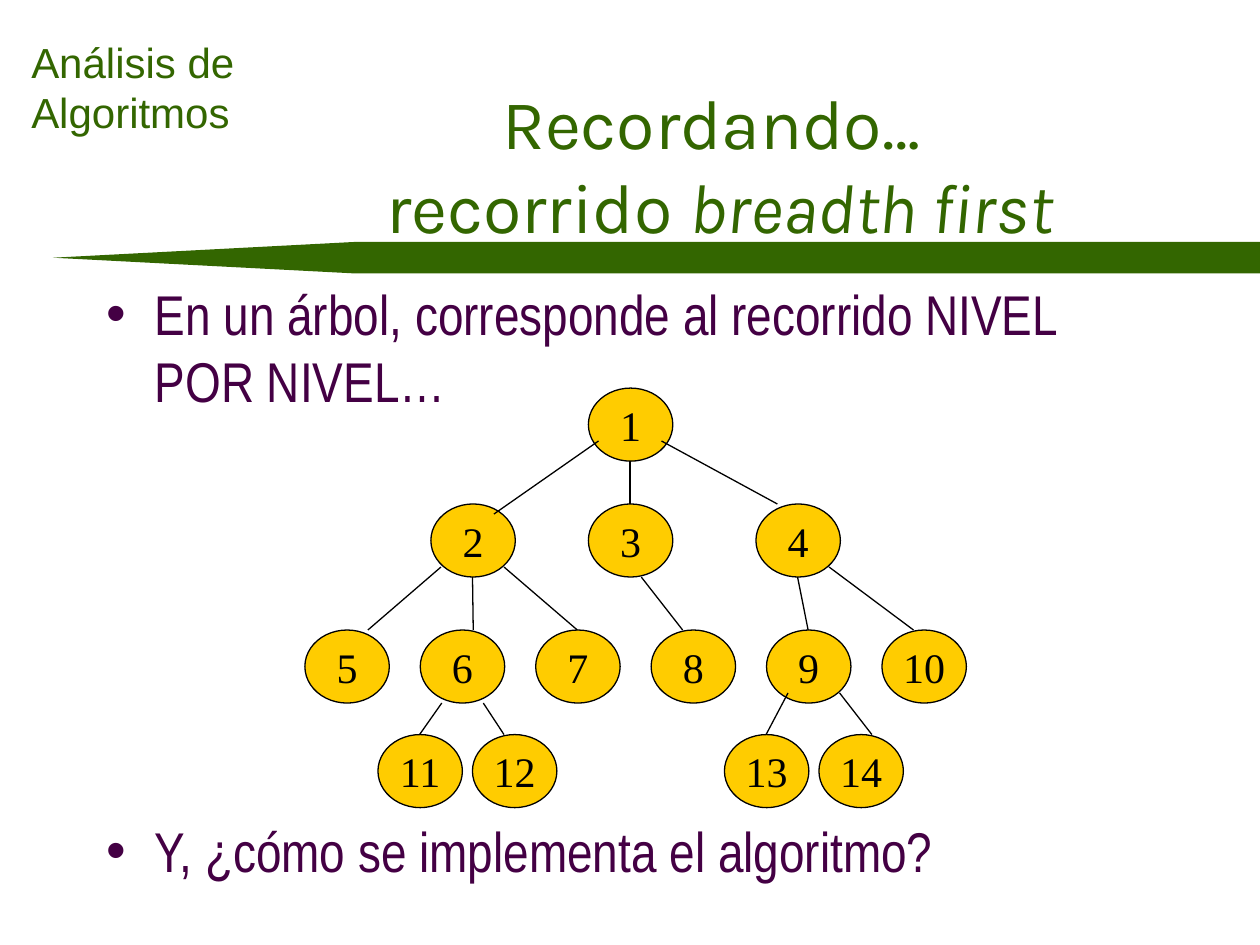
from lxml.etree import SubElement
from pptx import Presentation
from pptx.dml.color import RGBColor
from pptx.enum.shapes import MSO_CONNECTOR, MSO_SHAPE
from pptx.enum.text import MSO_ANCHOR, PP_ALIGN
from pptx.oxml.ns import qn
from pptx.util import Inches, Pt

GREEN, PURPLE, GOLD, BLACK = "336600", "440044", "FFCC00", "000000"
NODE_W, NODE_H = 0.67, 0.58

# Each level: top, then the left edge of every node
LEVELS = [
    (0, {1: 2.25}),
    (0.92, {2: 1, 3: 2.25, 4: 3.58}),
    (1.92, {label: (label - 5) * 0.916 for label in range(5, 11)}),
    (2.75, {11: 0.58, 12: 1.33, 13: 3.33, 14: 4.08}),
]
# Parent, child, start within the parent, end within the child
EDGES = [
    (1, 2, (0.08, 0.42), (0.5, 0.08)),
    (1, 3, (0.33, 0.58), (0.33, 0)),
    (1, 4, (0.58, 0.42), (0.17, 0)),
    (2, 5, (0.08, 0.5), (0.5, 0)),
    (2, 6, (0.33, 0.58), (0.42, 0)),
    (2, 7, (0.58, 0.5), (0.33, 0)),
    (3, 8, (0.42, 0.58), (0.25, 0)),
    (4, 9, (0.33, 0.58), (0.33, 0)),
    (4, 10, (0.58, 0.5), (0.25, 0)),
    (6, 11, (0.17, 0.58), (0.33, 0)),
    (6, 12, (0.5, 0.58), (0.25, 0)),
    (9, 13, (0.17, 0.5), (0.33, 0)),
    (9, 14, (0.58, 0.5), (0.42, 0)),
]


def color(hex_value):
    return RGBColor.from_string(hex_value)


def style(paragraph, font_name, size, hex_value):
    font = paragraph.font
    font.name, font.size = font_name, Pt(size)
    font.color.rgb = color(hex_value)


def text_frame(slide, left, top, width, height):
    frame = slide.shapes.add_textbox(
        Inches(left), Inches(top), Inches(width), Inches(height)).text_frame
    frame.word_wrap = True
    return frame


def add_banner(slide, left, top, width, height):
    banner = slide.shapes.add_shape(
        MSO_SHAPE.PENTAGON, Inches(left), Inches(top), Inches(width), Inches(height))
    banner.adjustments[0] = 9.583
    banner.rotation = 180
    banner.shadow.inherit = False
    banner.fill.solid()
    banner.fill.fore_color.rgb = color(GREEN)
    banner.line.fill.background()


def add_course(slide, left, top, width, height):
    frame = text_frame(slide, left, top, width, height)
    frame.text = "Análisis de\nAlgoritmos"
    for line in frame.paragraphs:
        style(line, "Arial", 24, GREEN)


def add_title(slide, left, top, width, height):
    frame = text_frame(slide, left, top, width, height)
    frame.vertical_anchor = MSO_ANCHOR.MIDDLE
    heading = frame.paragraphs[0]
    heading.alignment = PP_ALIGN.CENTER
    style(heading, "Karla", 40, GREEN)
    heading.add_run().text = "Recordando… "
    heading.add_line_break()
    heading.add_run().text = "recorrido "
    term = heading.add_run()
    term.text = "breadth first"
    term.font.italic = True


def add_points(slide, left, top, width, height):
    frame = text_frame(slide, left, top, width, height)
    frame.text = ("En un árbol, corresponde al recorrido NIVEL POR NIVEL…\n"
                  "Y, ¿cómo se implementa el algoritmo?")
    # The wide gap before the second point leaves room for the tree
    for point, gap in zip(frame.paragraphs, (6.4, 230)):
        style(point, "Arial Narrow", 32, PURPLE)
        point.space_before = Pt(gap)
        properties = point._p.get_or_add_pPr()
        properties.set("marL", str(Inches(0.38)))
        properties.set("indent", str(-Inches(0.38)))
        SubElement(properties, qn("a:buFont")).set("typeface", "Arial")
        SubElement(properties, qn("a:buChar")).set("char", "•")


def add_node(slide, label, left, top):
    node = slide.shapes.add_shape(
        MSO_SHAPE.OVAL, Inches(left), Inches(top), Inches(NODE_W), Inches(NODE_H))
    node.shadow.inherit = False
    node.fill.solid()
    node.fill.fore_color.rgb = color(GOLD)
    node.line.color.rgb = color(BLACK)
    node.line.width = Pt(0.75)
    frame = node.text_frame
    frame.word_wrap = False
    frame.vertical_anchor = MSO_ANCHOR.MIDDLE
    frame.text = str(label)
    frame.paragraphs[0].alignment = PP_ALIGN.CENTER
    style(frame.paragraphs[0], "Times New Roman", 24, BLACK)


def add_edge(slide, start, end):
    edge = slide.shapes.add_connector(
        MSO_CONNECTOR.STRAIGHT, *(Inches(value) for value in (*start, *end)))
    edge.line.color.rgb = color(BLACK)
    edge.line.width = Pt(0.75)
    SubElement(edge._element.spPr, qn("a:effectLst"))


def add_tree(slide, left, top):
    corners = {label: (left + x, top + y)
               for y, level in LEVELS for label, x in level.items()}
    for label, corner in corners.items():
        add_node(slide, label, *corner)
    for parent, child, start, end in EDGES:
        (px, py), (cx, cy) = corners[parent], corners[child]
        add_edge(slide, (px + start[0], py + start[1]), (cx + end[0], cy + end[1]))


presentation = Presentation()
presentation.slide_width, presentation.slide_height = Inches(10), Inches(7.5)
slide = presentation.slides.add_slide(presentation.slide_layouts[6])

# Header
add_banner(slide, 0.42, 1.92, 9.58, 0.25)
add_course(slide, 0.15, 0.24, 2.27, 0.9)
add_title(slide, 2.17, 0.67, 7.08, 1.25)

# Body
add_points(slide, 0.75, 2.17, 8.5, 4.5)
add_tree(slide, 2.42, 3.08)

presentation.save("out.pptx")
